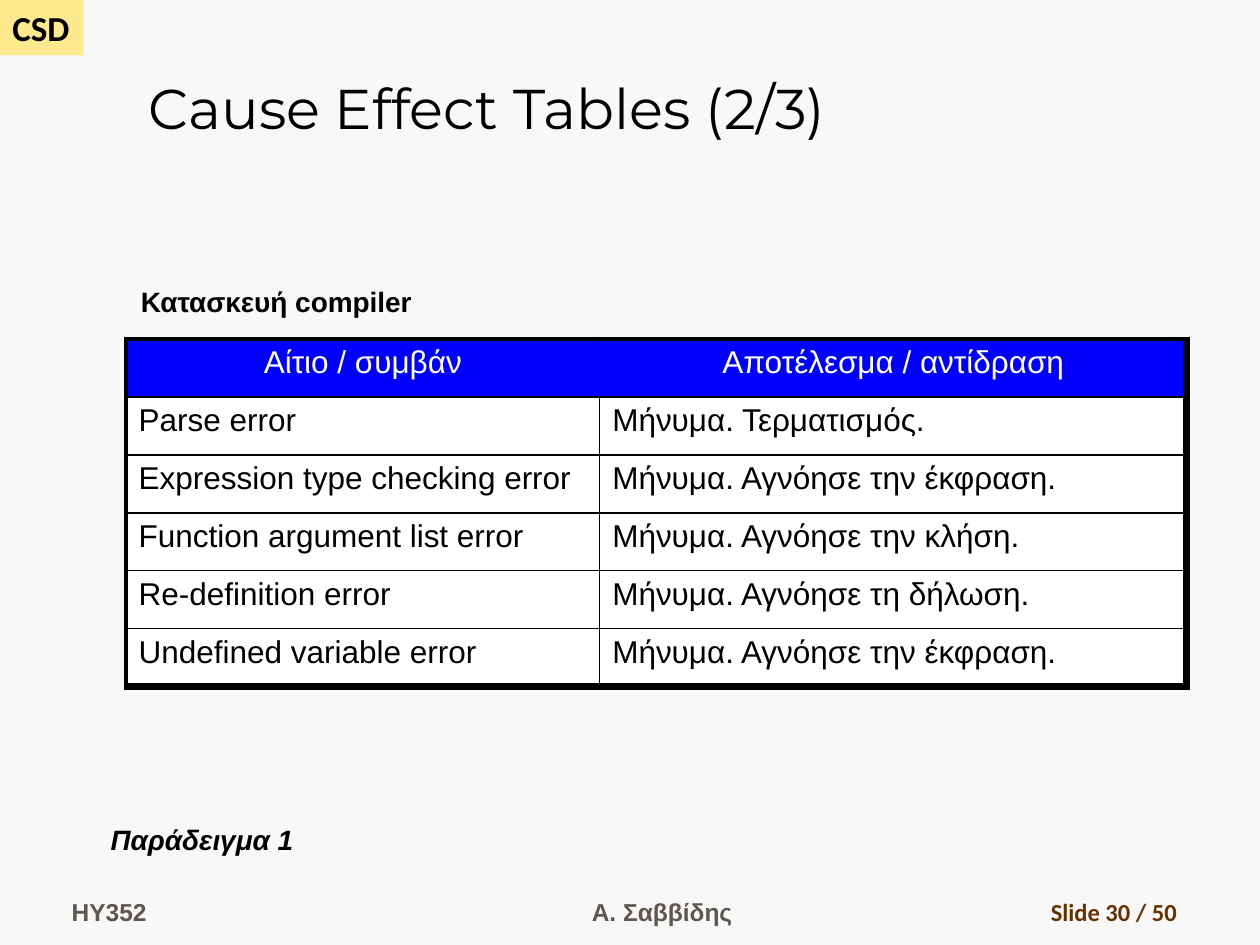
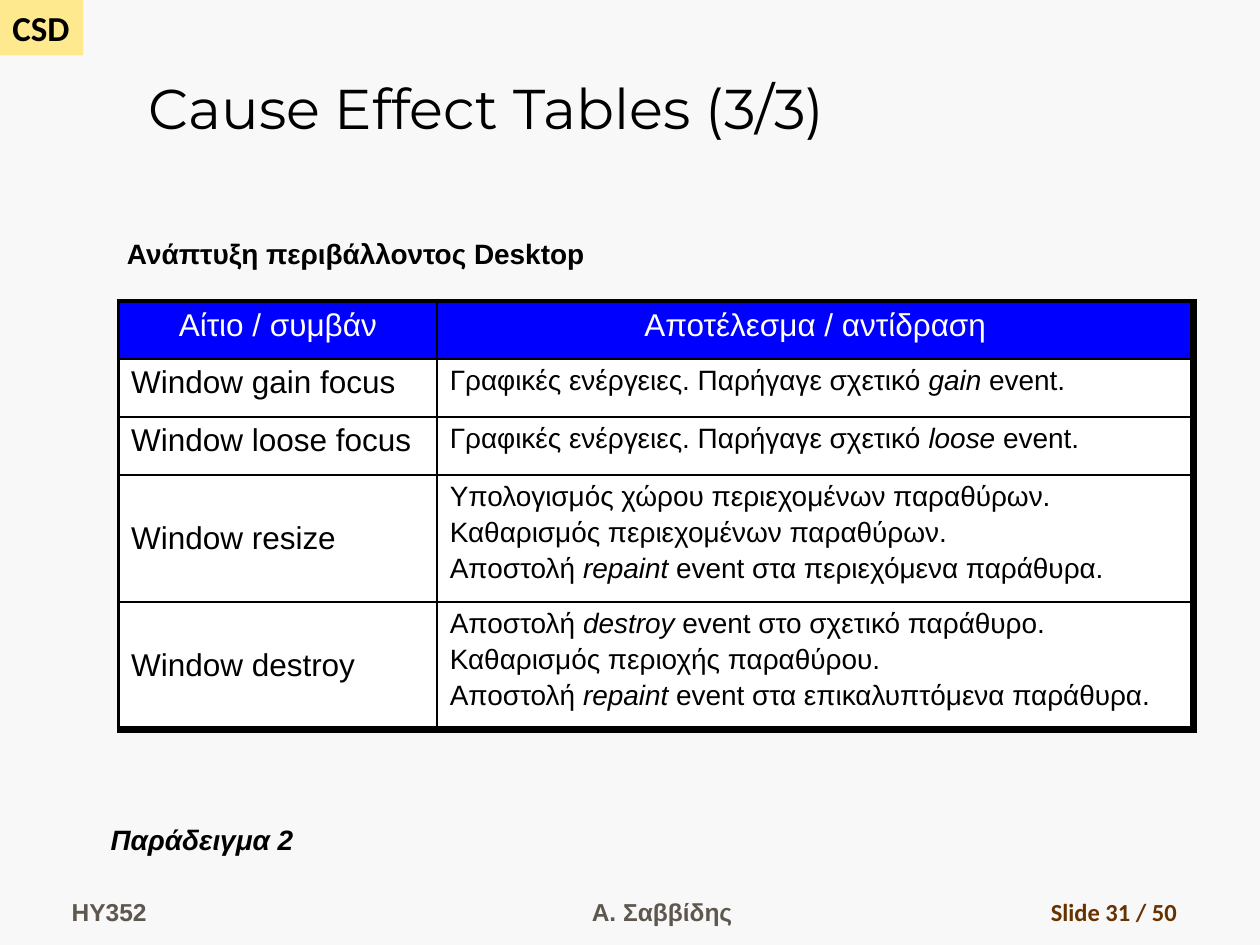
from lxml import etree
from pptx import Presentation
from pptx.dml.color import RGBColor
from pptx.enum import shapes, text
from pptx.oxml import ns
from pptx.util import Inches, Pt

# Content: a cell is a list of paragraphs, a paragraph a list of runs
# in which every second run is italic
HEADER = ("Αίτιο / συμβάν", "Αποτέλεσμα / αντίδραση")
GRAPHICS = "Γραφικές ενέργειες. Παρήγαγε σχετικό "
SLIDES = [
    dict(
        title="Cause Effect Tables (2/3)", number=30,
        caption="Κατασκευή compiler", caption_at=(1.02, 2.21, 2.64, 0.4),
        example="Παράδειγμα 1",
        table_at=(1, 2.69), cols=(3.76, 4.66), heights=[0.46] * 6, effect_size=18,
        rows=[
            ("Parse error", [["Μήνυμα. Τερματισμός."]]),
            ("Expression type checking error", [["Μήνυμα. Αγνόησε την έκφραση."]]),
            ("Function argument list error", [["Μήνυμα. Αγνόησε την κλήση."]]),
            ("Re-definition error", [["Μήνυμα. Αγνόησε τη δήλωση."]]),
            ("Undefined variable error", [["Μήνυμα. Αγνόησε την έκφραση."]]),
        ],
    ),
    dict(
        title="Cause Effect Tables (3/3)", number=31,
        caption="Ανάπτυξη περιβάλλοντος Desktop", caption_at=(0.91, 1.83, 4.43, 0.4),
        example="Παράδειγμα 2",
        table_at=(0.94, 2.39), cols=(2.53, 6), heights=[0.46] * 3 + [1.01] * 2, effect_size=16,
        rows=[
            ("Window gain focus", [[GRAPHICS, "gain", " event."]]),
            ("Window loose focus", [[GRAPHICS, "loose", " event."]]),
            ("Window resize", [
                ["Υπολογισμός χώρου περιεχομένων παραθύρων."],
                ["Καθαρισμός περιεχομένων παραθύρων."],
                ["Αποστολή ", "repaint", " event στα περιεχόμενα παράθυρα."],
            ]),
            ("Window destroy", [
                ["Αποστολή ", "destroy", " event στο σχετικό παράθυρο."],
                ["Καθαρισμός περιοχής παραθύρου."],
                ["Αποστολή ", "repaint", " event στα επικαλυπτόμενα παράθυρα."],
            ]),
        ],
    ),
]
TOTAL = 50

# Shared look
COLORS = dict(page="F8F8F8", tag="FFE98F", black="000000", white="FFFFFF",
              header="0000FF", footer="5E574E", number="663300")
THIN, MEDIUM, THICK = 1, 2.25, 4.5
LEFT, CENTER, RIGHT = text.PP_ALIGN.LEFT, text.PP_ALIGN.CENTER, text.PP_ALIGN.RIGHT
TOP, MIDDLE, BOTTOM = text.MSO_ANCHOR.TOP, text.MSO_ANCHOR.MIDDLE, text.MSO_ANCHOR.BOTTOM


def rgb(name):
    return RGBColor.from_string(COLORS[name])


def inches(values):
    return [Inches(v) for v in values]


def add_run(p, words, size, color="black", font="Arial", bold=False, italic=False):
    r = p.add_run()
    r.text = words
    r.font.name, r.font.size = font, Pt(size)
    r.font.bold, r.font.italic = bold, italic
    r.font.color.rgb = rgb(color)


def add_label(s, at, words, size, align=LEFT, anchor=TOP, **style):
    tf = s.shapes.add_textbox(*inches(at)).text_frame
    tf.word_wrap = True
    tf.vertical_anchor = anchor
    tf.paragraphs[0].alignment = align
    add_run(tf.paragraphs[0], words, size, **style)


def add_tag(s):
    sp = s.shapes.add_shape(shapes.MSO_SHAPE.RECTANGLE, *inches((0, 0, 0.66, 0.44)))
    sp.shadow.inherit = False
    sp.fill.solid()
    sp.fill.fore_color.rgb = rgb("tag")
    sp.line.fill.background()
    tf = sp.text_frame
    tf.word_wrap = False
    tf.vertical_anchor = TOP
    tf.paragraphs[0].alignment = LEFT
    add_run(tf.paragraphs[0], "CSD", 20, font="Calibri", bold=True)


def add_footer(s, number):
    foot = dict(anchor=BOTTOM, bold=True)
    add_label(s, (0.47, 6.9, 2.19, 0.5), "HY352", 14, color="footer", **foot)
    add_label(s, (3.67, 6.9, 3.17, 0.5), "Α. Σαββίδης", 14, CENTER, color="footer", **foot)
    add_label(s, (7.36, 6.9, 2.08, 0.5), f"Slide {number} / {TOTAL}", 14, RIGHT,
              color="number", font="Calibri", **foot)


def set_borders(cell, widths):
    """Border lines come before the fill, in the order left, right, top, bottom."""
    tc_pr = cell._tc.get_or_add_tcPr()
    for i, (side, width) in enumerate(zip("LRTB", widths)):
        ln = etree.Element(ns.qn(f"a:ln{side}"), w=str(Pt(width)))
        fill = etree.SubElement(ln, ns.qn("a:solidFill"))
        etree.SubElement(fill, ns.qn("a:srgbClr"), val=COLORS["black"])
        tc_pr.insert(i, ln)


def fill_cell(cell, paragraphs, size, color, fill, align, anchor):
    cell.fill.solid()
    cell.fill.fore_color.rgb = rgb(fill)
    cell.vertical_anchor = anchor
    tf = cell.text_frame
    for i, runs in enumerate(paragraphs):
        p = tf.add_paragraph() if i else tf.paragraphs[0]
        p.alignment = align
        if i:
            p.space_before = Pt(2.75)
        for j, words in enumerate(runs):
            add_run(p, words, size, color, italic=j % 2 == 1)


def add_cause_table(s, data):
    cols, heights = data["cols"], data["heights"]
    at = (*data["table_at"], sum(cols), sum(heights))
    table = s.shapes.add_table(len(heights), len(cols), *inches(at)).table
    table.first_row = table.horz_banding = False
    for column, width in zip(table.columns, cols):
        column.width = Inches(width)
    for row, height in zip(table.rows, heights):
        row.height = Inches(height)

    for c, words in enumerate(HEADER):
        fill_cell(table.cell(0, c), [[words]], 18, "white", "header", CENTER, TOP)
    for r, (cause, effect) in enumerate(data["rows"], 1):
        anchor = MIDDLE if len(effect) > 1 else TOP
        fill_cell(table.cell(r, 0), [[cause]], 18, "black", "white", LEFT, anchor)
        fill_cell(table.cell(r, 1), effect, data["effect_size"], "black", "white", LEFT, TOP)

    # Heavier frame around thin inner lines
    last_row, last_col = len(heights) - 1, len(cols) - 1
    for r in range(len(heights)):
        for c in range(len(cols)):
            set_borders(table.cell(r, c), (
                MEDIUM if c == 0 else THIN,
                THICK if c == last_col else THIN,
                MEDIUM if r == 0 else THIN,
                THICK if r == last_row else THIN,
            ))


def add_slide(prs, data):
    s = prs.slides.add_slide(prs.slide_layouts[6])
    s.background.fill.solid()
    s.background.fill.fore_color.rgb = rgb("page")
    add_tag(s)
    add_label(s, (1.08, 0.17, 8.92, 1), data["title"], 32, anchor=BOTTOM, font="Montserrat")
    add_cause_table(s, data)
    add_label(s, data["caption_at"], data["caption"], 16, bold=True)
    add_label(s, (0.78, 6.48, 1.84, 0.4), data["example"], 16, bold=True, italic=True)
    add_footer(s, data["number"])


def main():
    prs = Presentation()
    prs.slide_width, prs.slide_height = Inches(10), Inches(7.5)
    for data in SLIDES:
        add_slide(prs, data)
    prs.save("out.pptx")


if __name__ == "__main__":
    main()
